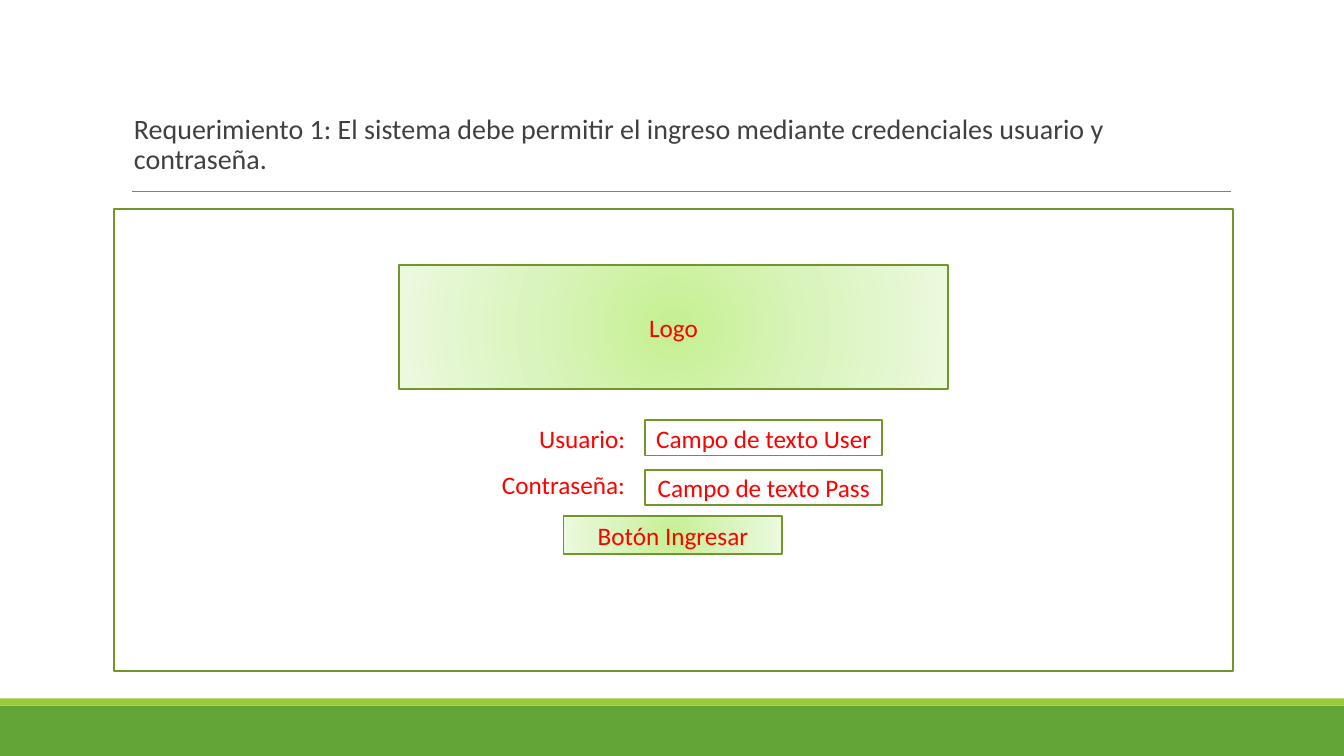
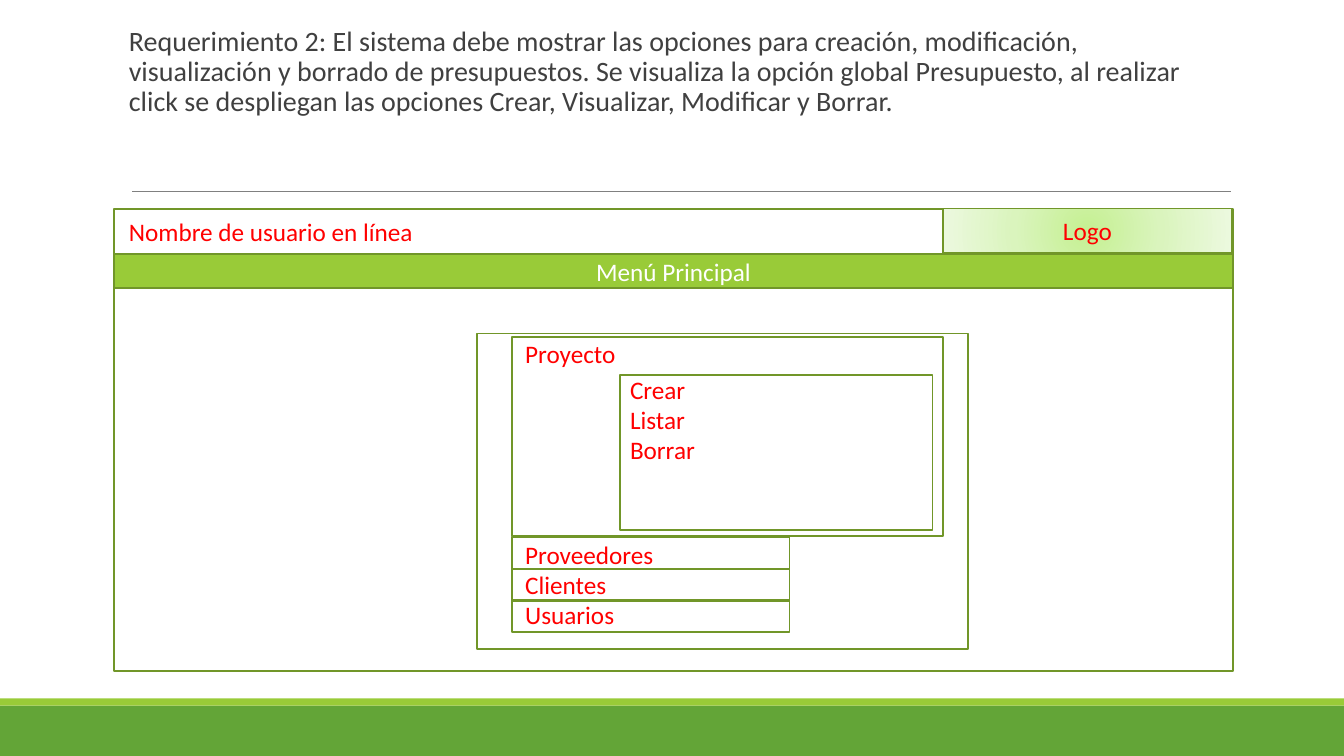
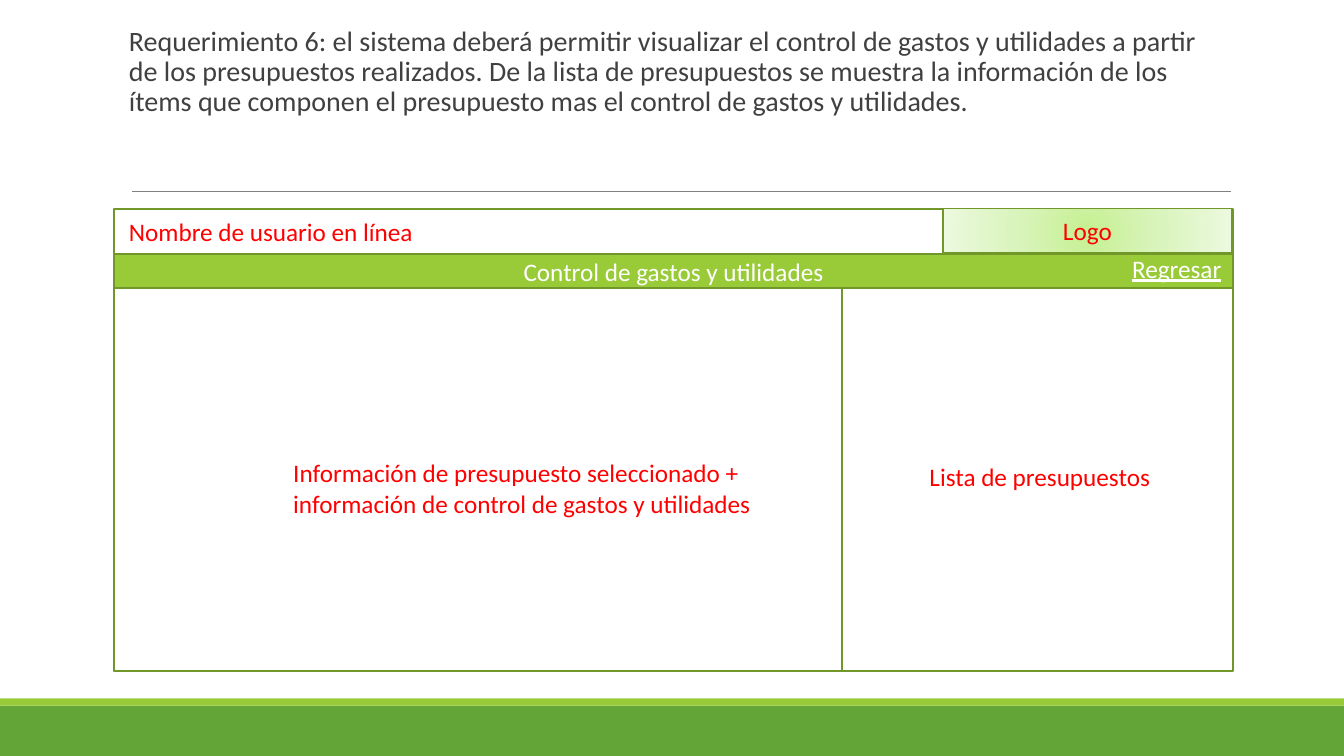
import pptx
import pptx.dml.color
import pptx.enum.shapes
import pptx.enum.text
import pptx.oxml
import pptx.oxml.ns
import pptx.util
from dataclasses import dataclass
from typing import Any

Inches = pptx.util.Inches
Pt = pptx.util.Pt
Align = pptx.enum.text.PP_ALIGN
Anchor = pptx.enum.text.MSO_ANCHOR

FONT = "Calibri"
COLORS = {
    "band": "63A537",
    "lime": "99CB38",
    "edge": "719629",
    "rule": "808080",
    "title": "404040",
    "red": "FF0000",
    "white": "FFFFFF",
    "core": "C5F092",
    "mid": "DAF4BD",
    "rim": "ECF9DF",
}
GLOW = (("core", 0), ("mid", 50), ("rim", 100))
LEFT, TOP, WIDE, HIGH = 1.13, 2.07, 11.1, 4.59


@dataclass
class Box:
    left: float
    top: float
    width: float
    height: float
    text: str = ""
    fill: str = ""
    color: str = "red"
    edge: str = "edge"


@dataclass
class Label:
    left: float
    top: float
    width: float
    height: float
    text: str
    color: str = "red"
    line: bool = False


def tint(name: str) -> pptx.dml.color.RGBColor:
    return pptx.dml.color.RGBColor.from_string(COLORS[name])


def place(item: Any) -> list[int]:
    return [Inches(n) for n in (item.left, item.top, item.width, item.height)]


def write(frame: Any, text: str, *, size: int = 18, color: str = "red",
          align: Any = Align.LEFT, line: bool = False, lead: float = 1.0,
          above: int = 0, below: int = 0) -> None:
    for i, words in enumerate(text.split("\n")):
        para = frame.add_paragraph() if i else frame.paragraphs[0]
        para.alignment = align
        para.line_spacing = lead
        para.space_before, para.space_after = Pt(above), Pt(below)
        run = para.add_run()
        run.text = words
        run.font.name, run.font.size = FONT, Pt(size)
        run.font.color.rgb = tint(color)
        if line:
            run.font.underline = True


def glow(shape: Any) -> None:
    stops = "".join(
        f'<a:gs pos="{pos * 1000}"><a:srgbClr val="{COLORS[name]}"/></a:gs>'
        for name, pos in GLOW)
    grad = pptx.oxml.parse_xml(
        f'<a:gradFill {pptx.oxml.ns.nsdecls("a")} rotWithShape="1">'
        f'<a:gsLst>{stops}</a:gsLst><a:path path="circle">'
        '<a:fillToRect l="50000" t="50000" r="50000" b="50000"/>'
        '</a:path></a:gradFill>')
    props = shape._element.spPr
    props.replace(props.find(pptx.oxml.ns.qn("a:noFill")), grad)


def draw_box(slide: Any, box: Box) -> None:
    kind = pptx.enum.shapes.MSO_SHAPE.RECTANGLE
    shape = slide.shapes.add_shape(kind, *place(box))
    shape.shadow.inherit = False
    if box.fill in ("", "glow"):
        shape.fill.background()
    else:
        shape.fill.solid()
        shape.fill.fore_color.rgb = tint(box.fill)
    if box.fill == "glow":
        glow(shape)
    if box.edge:
        shape.line.color.rgb = tint(box.edge)
        shape.line.width = Pt(1.25)
    else:
        shape.line.fill.background()
    if box.text:
        shape.text_frame.vertical_anchor = Anchor.MIDDLE
        write(shape.text_frame, box.text, color=box.color, align=Align.CENTER)


def draw_label(slide: Any, label: Label) -> None:
    frame = slide.shapes.add_textbox(*place(label)).text_frame
    frame.word_wrap = False
    frame.auto_size = pptx.enum.text.MSO_AUTO_SIZE.SHAPE_TO_FIT_TEXT
    write(frame, label.text, color=label.color, line=label.line)


def draw_rule(slide: Any) -> None:
    kind = pptx.enum.shapes.MSO_CONNECTOR.STRAIGHT
    rule = slide.shapes.add_connector(
        kind, Inches(1.31), Inches(1.9), Inches(12.21), Inches(1.9))
    rule.line.color.rgb = tint("rule")
    rule.line.width = Pt(0.5)
    rule._element.spPr.append(pptx.oxml.parse_xml(
        f'<a:effectLst {pptx.oxml.ns.nsdecls("a")}/>'))


def draw_title(slide: Any, text: str, left: float, top: float) -> None:
    frame = slide.shapes.add_textbox(
        Inches(left), Inches(top), Inches(11), Inches(1.5)).text_frame
    frame.word_wrap = True
    frame.margin_left, frame.margin_right = Inches(0.1), 0
    write(frame, text, size=20, color="title", lead=0.9, above=12, below=2)


def make(deck: Any, title: str, items: list, left: float = 1.18,
         top: float = 0.22) -> None:
    slide = deck.slides.add_slide(deck.slide_layouts[6])
    draw_box(slide, Box(0, 7, 13.33, 0.5, fill="band", edge=""))
    draw_box(slide, Box(0, 6.93, 13.33, 0.07, fill="lime", edge=""))
    draw_rule(slide)
    draw_title(slide, title, left, top)
    draw_box(slide, Box(LEFT, TOP, WIDE, HIGH))
    for item in items:
        if isinstance(item, Box):
            draw_box(slide, item)
        else:
            draw_label(slide, item)


def header(text: str) -> list:
    return [
        Box(9.35, TOP, 2.87, 0.44, "Logo", "glow"),
        Label(1.18, 2.1, 3.05, 0.4, "Nombre de usuario en línea"),
        Box(LEFT, 2.52, WIDE, 0.34, text, "lime", "white"),
    ]


login = [
    Box(3.96, 2.63, 5.44, 1.23, "Logo", "glow"),
    Box(6.4, 4.17, 2.35, 0.35, "Campo de texto User"),
    Box(6.4, 4.66, 2.35, 0.35, "Campo de texto Pass"),
    Label(5.25, 4.15, 1.06, 0.4, "Usuario:"),
    Label(4.88, 4.61, 1.44, 0.4, "Contraseña:"),
    Box(5.59, 5.12, 2.17, 0.38, "Botón Ingresar", "glow"),
]
menu = header("Menú Principal") + [
    Label(5.11, 3.31, 1.11, 0.4, "Proyecto"),
    Label(6.15, 3.66, 0.85, 1.01, "Crear\nListar\nBorrar"),
    Label(5.11, 5.3, 1.49, 1.01, "Proveedores\nClientes\nUsuarios"),
    Box(4.73, 3.31, 4.87, 3.13),
    Box(6.15, 3.72, 3.1, 1.54),
    Box(5.08, 3.34, 4.27, 1.98),
] + [Box(5.08, 5.33 + 0.31 * row, 2.75, 0.32) for row in range(3)]
costs = header("Control de gastos y utilidades") + [
    Label(2.81, 4.49, 4.79, 0.71,
          "Información de presupuesto seleccionado +\n"
          "información de control de gastos y utilidades"),
    Box(LEFT, 2.86, 7.22, 3.8),
    Label(11.13, 2.46, 1.1, 0.4, "Regresar", "white", True),
    Label(9.12, 4.53, 2.42, 0.4, "Lista de presupuestos"),
]

deck = pptx.Presentation()
deck.slide_width, deck.slide_height = Inches(13.33), Inches(7.5)
make(deck, "Requerimiento 1: El sistema debe permitir el ingreso mediante "
     "credenciales usuario y contraseña.", login, 1.23, 1.09)
make(deck, "Requerimiento 2: El sistema debe mostrar las opciones para "
     "creación, modificación, visualización y borrado de presupuestos. "
     "Se visualiza la opción global Presupuesto, al realizar click se "
     "despliegan las opciones Crear, Visualizar, Modificar y Borrar.", menu)
make(deck, "Requerimiento 6: el sistema deberá permitir visualizar el control "
     "de gastos y utilidades a partir de los presupuestos realizados. "
     "De la lista de presupuestos se muestra la información de los ítems que "
     "componen el presupuesto mas el control de gastos y utilidades.", costs)
deck.save("out.pptx")
